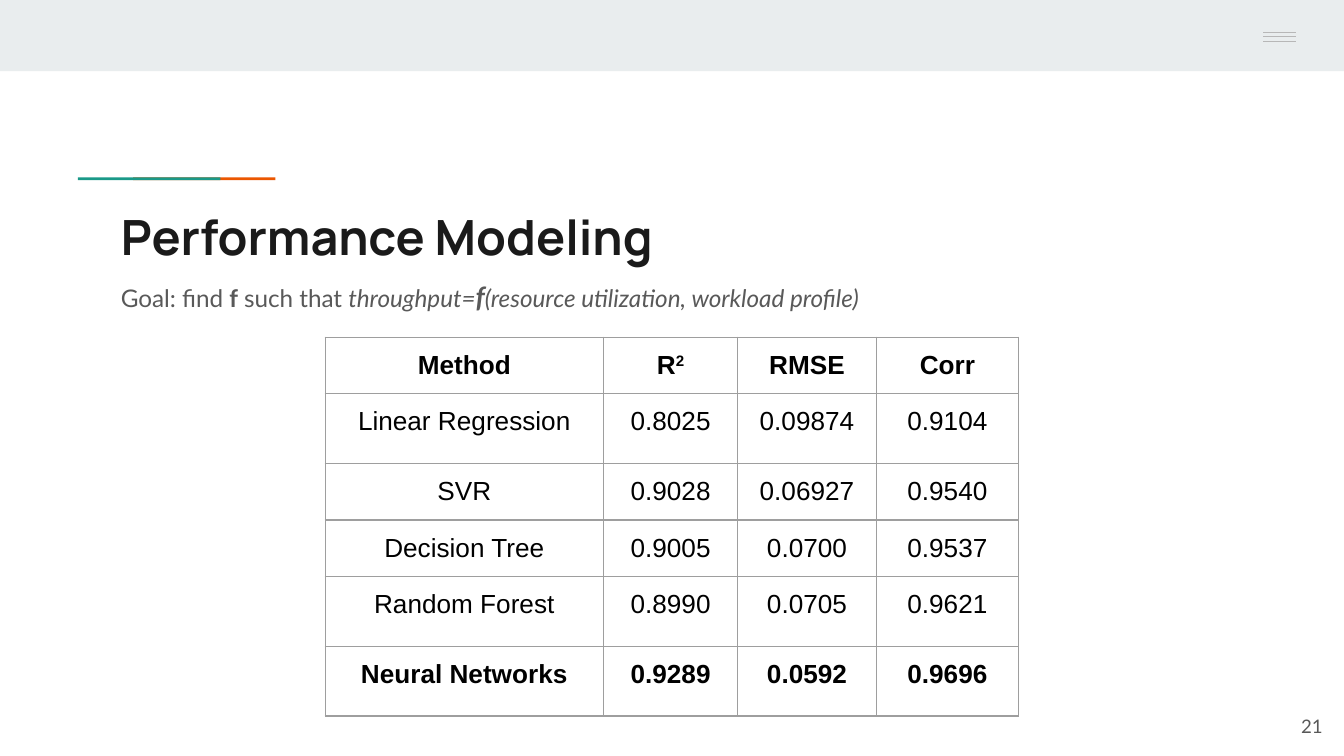
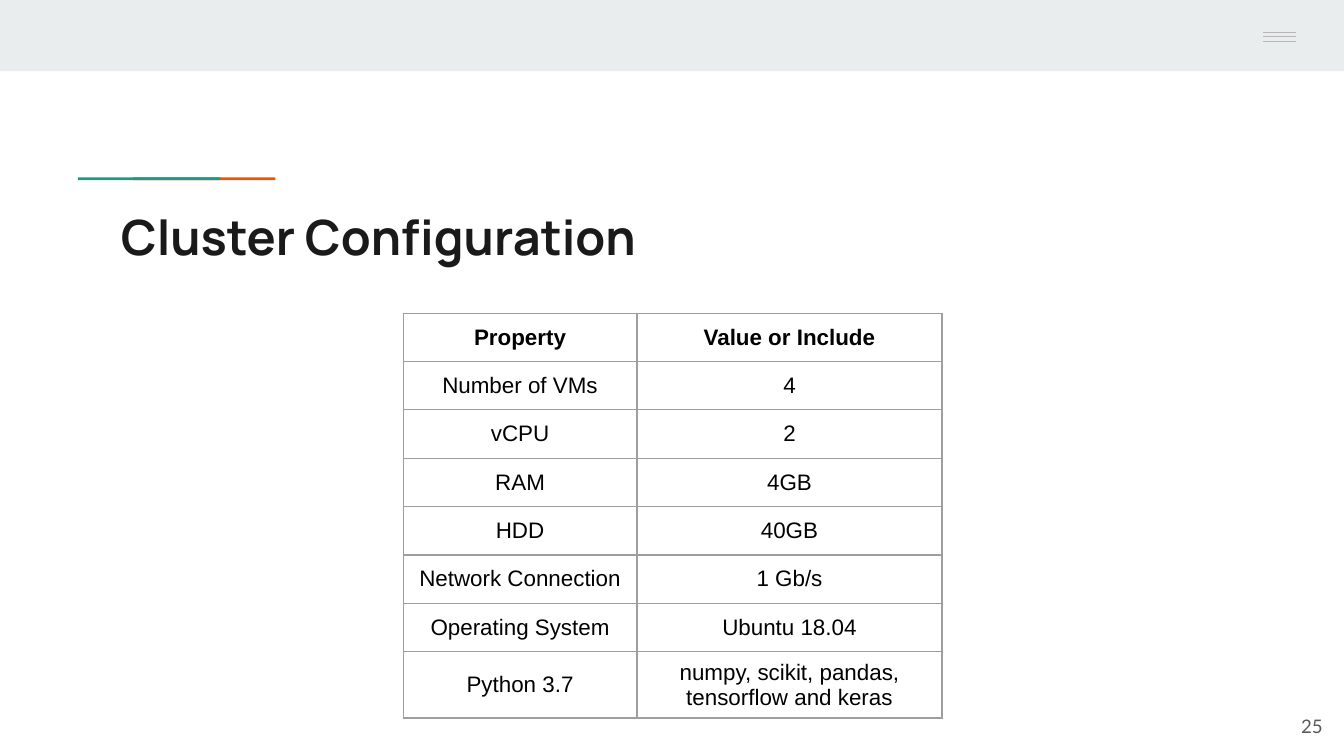
import pptx
import pptx.util
import pptx.dml.color
import pptx.enum.shapes
import pptx.enum.text
import pptx.oxml
import lxml.etree

Inches = pptx.util.Inches
Pt = pptx.util.Pt
RGBColor = pptx.dml.color.RGBColor
Align = pptx.enum.text.PP_ALIGN
Anchor = pptx.enum.text.MSO_ANCHOR
Fit = pptx.enum.text.MSO_AUTO_SIZE
Shape = pptx.enum.shapes.MSO_SHAPE
Line = pptx.enum.shapes.MSO_CONNECTOR

BAND = RGBColor(0xE9, 0xED, 0xEE)
TEAL = RGBColor(0x1A, 0x99, 0x88)
ORANGE = RGBColor(0xEB, 0x56, 0x00)
MENU = RGBColor(0xB7, 0xB7, 0xB7)
INK = RGBColor(0x1A, 0x1A, 0x1A)
GREY = RGBColor(0x59, 0x59, 0x59)
BLACK = RGBColor(0, 0, 0)
RULE = "9E9E9E"
NS = "http://schemas.openxmlformats.org/drawingml/2006/main"

# left, top, width, height, fill
BARS = [
    (0, 0, 10, 0.53, BAND),
    (0.99, 1.32, 1.06, 0.02, ORANGE),
    (0.58, 1.32, 1.06, 0.02, TEAL),
]

PAGES = [
    {
        "title": "Performance Modeling", "num": "21",
        "goal": [("Goal: find ", {}), ("f", {"bold": True}), (" such that ", {}),
                 ("throughput=", {"italic": True}),
                 ("f", {"italic": True, "bold": True, "size": Pt(15)}),
                 ("(resource utilization, workload profile)", {"italic": True})],
        "left": 2.42, "top": 2.51, "size": 14, "pad": 0.1, "anchor": Anchor.TOP,
        "cols": [2.07, 1, 1.03, 1.06],
        "heights": [0.42, 0.52, 0.42, 0.42, 0.52, 0.52],
        "bold": (0, 5),
        "rows": [
            ("Method", "R", "RMSE", "Corr"),
            ("Linear Regression", "0.8025", "0.09874", "0.9104"),
            ("SVR", "0.9028", "0.06927", "0.9540"),
            ("Decision Tree", "0.9005", "0.0700", "0.9537"),
            ("Random Forest", "0.8990", "0.0705", "0.9621"),
            ("Neural Networks", "0.9289", "0.0592", "0.9696"),
        ],
    },
    {
        "title": "Cluster Configuration", "num": "25", "goal": [],
        "left": 3, "top": 2.33, "size": 12, "pad": 0.06, "anchor": Anchor.MIDDLE,
        "cols": [1.74, 2.27],
        "heights": [0.36] * 7 + [0.49],
        "bold": (0,),
        "rows": [
            ("Property", "Value or Include"),
            ("Number of VMs", "4"),
            ("vCPU", "2"),
            ("RAM", "4GB"),
            ("HDD", "40GB"),
            ("Network Connection", "1 Gb/s"),
            ("Operating System", "Ubuntu 18.04"),
            ("Python 3.7", "numpy, scikit, pandas, tensorflow and keras"),
        ],
    },
]


def style(para, name, size, color, bold=False, align=Align.LEFT):
    para.alignment = align
    font = para.font
    font.name, font.size, font.bold = name, Pt(size), bold
    font.color.rgb = color


def setup(shape, left, top, width, height, anchor=Anchor.TOP):
    """Place a text shape, give it even insets and return its first paragraph."""
    shape.left, shape.top = Inches(left), Inches(top)
    shape.width, shape.height = Inches(width), Inches(height)
    frame = shape.text_frame
    frame.word_wrap, frame.auto_size = True, Fit.NONE
    frame.vertical_anchor = anchor
    frame.margin_left = frame.margin_right = Inches(0.1)
    frame.margin_top = frame.margin_bottom = Inches(0.1)
    return frame.paragraphs[0]


deck = pptx.Presentation()
deck.slide_width = Inches(10)
deck.slide_height = deck.slide_width * 9 // 16

for page in PAGES:
    slide = deck.slides.add_slide(deck.slide_layouts[1 if page["goal"] else 5])
    shapes = slide.shapes

    # Band, accent bars and menu icon
    for left, top, width, height, fill in BARS:
        bar = shapes.add_shape(Shape.RECTANGLE, Inches(left), Inches(top),
                               Inches(width), Inches(height))
        bar.shadow.inherit = False
        bar.fill.solid()
        bar.fill.fore_color.rgb = fill
        bar.line.fill.background()
    for y in (0.24, 0.27, 0.31):
        dash = shapes.add_connector(Line.STRAIGHT, Inches(9.4), Inches(y),
                                    Inches(9.64), Inches(y))
        dash.line.color.rgb = MENU
        dash.line.width = Pt(0.75)
        lxml.etree.SubElement(dash._element.spPr, f"{{{NS}}}effectLst")

    # Title, goal and page number
    para = setup(shapes.title, 0.8, 1.44, 8.41, 0.59)
    para.text = page["title"]
    style(para, "Manrope", 26, INK, True)

    if page["goal"]:
        para = setup(slide.placeholders[1], 0.8, 1.94, 8.41, 2.47)
        props = para._p.get_or_add_pPr()
        props.set("marL", "0")
        props.set("indent", "0")
        lxml.etree.SubElement(props, f"{{{NS}}}buNone")
        para.space_before, para.line_spacing = Pt(0), 1.15
        style(para, "Lato", 13, GREY)
        for text, look in page["goal"]:
            run = para.add_run()
            run.text = text
            for key, value in look.items():
                setattr(run.font, key, value)

    para = setup(shapes.add_textbox(0, 0, 0, 0), 9.34, 5.19, 0.6, 0.43, Anchor.MIDDLE)
    para.text = page["num"]
    style(para, "Lato", 10, GREY, align=Align.RIGHT)

    # Table
    rows, cols, heights = page["rows"], page["cols"], page["heights"]
    table = shapes.add_table(len(rows), len(cols), Inches(page["left"]), Inches(page["top"]),
                             Inches(sum(cols)), Inches(sum(heights))).table
    table.first_row = table.horz_banding = False
    for col, width in zip(table.columns, cols):
        col.width = Inches(width)
    for r, texts in enumerate(rows):
        table.rows[r].height = Inches(heights[r])
        for c, text in enumerate(texts):
            cell = table.cell(r, c)
            cell.vertical_anchor = page["anchor"]
            cell.margin_left = cell.margin_right = Inches(0.1)
            cell.margin_top = cell.margin_bottom = Inches(page["pad"])
            para = cell.text_frame.paragraphs[0]
            para.text = text
            style(para, "Arial", page["size"], BLACK, r in page["bold"], Align.CENTER)
            if text == "R":
                power = para.add_run()
                power.text = "2"
                power._r.get_or_add_rPr().set("baseline", "30000")
            props = cell._tc.get_or_add_tcPr()
            for side in ("lnL", "lnR", "lnT", "lnB"):
                props.append(pptx.oxml.parse_xml(
                    f'<a:{side} xmlns:a="{NS}" w="{Pt(0.75)}"><a:solidFill>'
                    f'<a:srgbClr val="{RULE}"/></a:solidFill></a:{side}>'))
            cell.fill.background()

deck.save("out.pptx")
